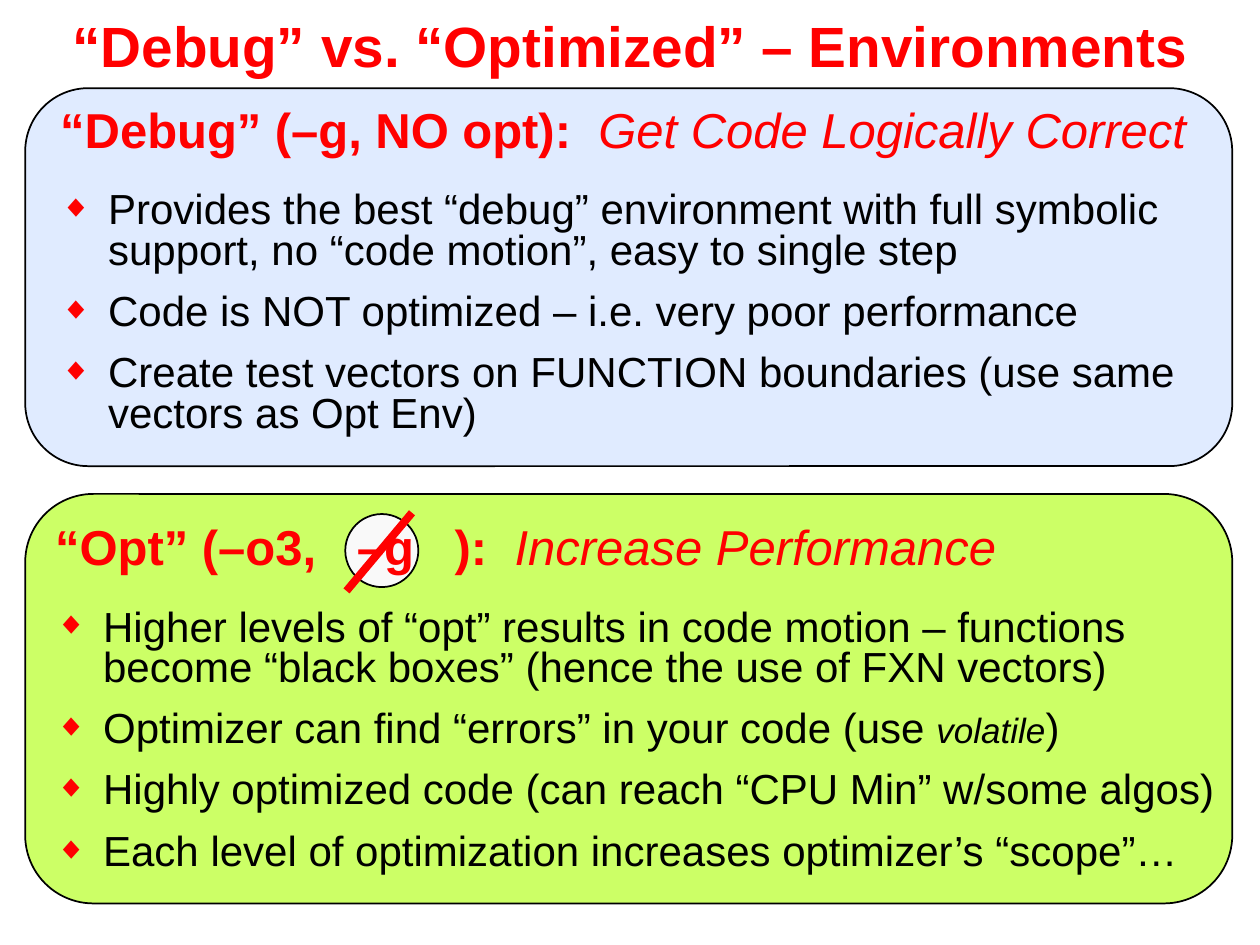
import pptx
import pptx.util
import pptx.dml.color
import pptx.enum.shapes
import pptx.enum.text
import pptx.oxml
import lxml.etree

In, Pt = pptx.util.Inches, pptx.util.Pt
SHAPE = pptx.enum.shapes.MSO_SHAPE
COLORS = {"red": "FF0000", "black": "000000", "debug": "E0EBFF",
          "opt": "CCFF66", "badge": "F9F9F9"}
FONT = "Arial"
W, H = 10, 7.5
LEFT, PANEL_W = 0.02 * W, 9.58
HEAD_H = 0.48


def rgb(name):
    return pptx.dml.color.RGBColor.from_string(COLORS[name])


def add_outlined(s, kind, box, fill):
    sp = s.shapes.add_shape(kind, *map(In, box))
    sp.shadow.inherit = False
    sp.fill.solid()
    sp.fill.fore_color.rgb = rgb(fill)
    sp.line.color.rgb = rgb("black")
    sp.line.width = Pt(1)


def add_textbox(s, box):
    tf = s.shapes.add_textbox(*map(In, box)).text_frame
    tf.word_wrap = False
    tf.auto_size = pptx.enum.text.MSO_AUTO_SIZE.SHAPE_TO_FIT_TEXT
    return tf


def style(r, size, color, bold=False, italic=False):
    r.font.name = FONT
    r.font.size = Pt(size)
    r.font.color.rgb = rgb(color)
    r.font.bold = bold
    r.font.italic = italic


def space(p, size):
    p.line_spacing = 0.8
    p.space_before = Pt(size / 2)


def add_bullet(p):
    pPr = p._p.get_or_add_pPr()
    pPr.set("marL", str(In(0.38)))
    pPr.set("indent", str(-In(0.38)))
    ns = pptx.oxml.ns.qn
    clr = lxml.etree.SubElement(pPr, ns("a:buClr"))
    lxml.etree.SubElement(clr, ns("a:srgbClr"), val=COLORS["red"])
    lxml.etree.SubElement(pPr, ns("a:buSzPct"), val="75000")
    lxml.etree.SubElement(pPr, ns("a:buFont"), typeface=FONT)
    lxml.etree.SubElement(pPr, ns("a:buChar"), char="◆")


def add_title(s, box, text):
    tf = s.shapes.add_textbox(*map(In, box)).text_frame
    tf.word_wrap = True
    tf.margin_bottom = In(0.14)
    tf.vertical_anchor = pptx.enum.text.MSO_ANCHOR.MIDDLE
    tf.text = text
    p = tf.paragraphs[0]
    p.alignment = pptx.enum.text.PP_ALIGN.CENTER
    style(p.runs[0], 32.4, "red", bold=True)


def add_heading(s, box, label, goal):
    p = add_textbox(s, box).paragraphs[0]
    space(p, 28)
    p.text = label
    style(p.runs[0], 28, "red", bold=True)
    r = p.add_run()
    r.text = goal
    style(r, 28, "red", italic=True)


def add_points(s, box, points):
    tf = add_textbox(s, box)
    for i, (text, *rest) in enumerate(points):
        p = tf.add_paragraph() if i else tf.paragraphs[0]
        space(p, 24)
        add_bullet(p)
        p.text = text
        for r in p.runs:
            style(r, 24, "black")
        for part, size, italic in rest:
            r = p.add_run()
            r.text = part
            style(r, size, "black", italic=italic)


def add_struck_badge(s, x, y, d):
    add_outlined(s, SHAPE.OVAL, (x, y, d, d), "badge")
    return (x + 0.53, y - 0.01), (x + 0.01, y + d + 0.03)


def add_strike(s, start, end):
    ln = s.shapes.add_connector(pptx.enum.shapes.MSO_CONNECTOR.STRAIGHT,
                                *map(In, start + end))
    ln.line.color.rgb = rgb("red")
    ln.line.width = Pt(4.5)
    lxml.etree.SubElement(ln._element.spPr, pptx.oxml.ns.qn("a:effectLst"))


def add_debug_panel(s, box):
    x, y, w, h = box
    add_outlined(s, SHAPE.ROUNDED_RECTANGLE, box, "debug")
    add_points(s, (x + 0.18, y + 0.78, w - 0.45, 2.12), [
        ("Provides the best “debug” environment with full symbolic\v"
         "support, no “code motion”, easy to single step",),
        ("Code is NOT optimized – i.e. very poor performance",),
        ("Create test vectors on FUNCTION boundaries (use same\v"
         "vectors as Opt Env)",),
    ])
    add_heading(s, (x + 0.18, y + 0.13, w - 0.34, HEAD_H),
                "“Debug” (–g, NO opt):  ", "Get Code Logically Correct")


def add_opt_panel(s, box):
    x, y, w, h = box
    add_outlined(s, SHAPE.ROUNDED_RECTANGLE, box, "opt")
    strike = add_struck_badge(s, x + 2.54, y + 0.16, 0.58)
    add_points(s, (x + 0.14, y + 0.87, w - 0.09, 2.32), [
        ("Higher levels of “opt” results in code motion – functions \v"
         "become “black boxes” (hence the use of FXN vectors)",),
        ("Optimizer can find “errors” in your code (use ",
         ("volatile", 20, True), (")", 24, False)),
        ("Highly optimized code (can reach “CPU Min” w/some algos)",),
        ("Each level of optimization increases optimizer’s “scope”…",),
    ])
    add_heading(s, (x + 0.14, y + 0.22, 0.8 * W, HEAD_H),
                "“Opt” (–o3,   –g   ):  ", "Increase Performance")
    add_strike(s, *strike)


def main():
    prs = pptx.Presentation()
    prs.slide_width, prs.slide_height = In(W), In(H)
    s = prs.slides.add_slide(prs.slide_layouts[6])
    add_opt_panel(s, (LEFT, 3.92, PANEL_W, 3.25))
    add_debug_panel(s, (LEFT, 0.7, PANEL_W, 0.4 * H))
    add_title(s, (0, 0, W, 0.81), "“Debug” vs. “Optimized” – Environments")
    prs.save("out.pptx")


if __name__ == "__main__":
    main()
